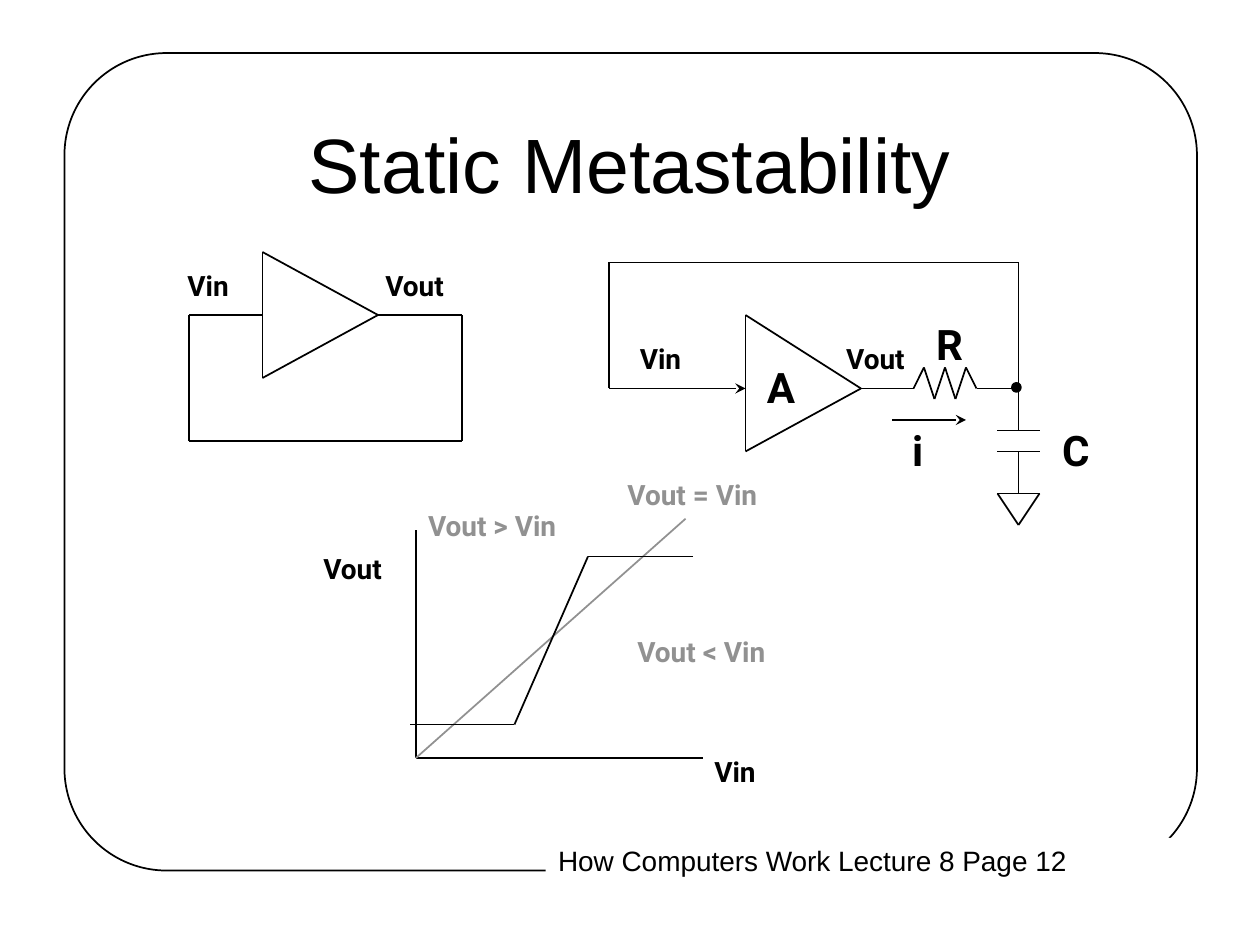
from lxml.etree import SubElement
from pptx import Presentation
from pptx.dml.color import RGBColor
from pptx.enum.shapes import MSO_CONNECTOR as CONN, MSO_SHAPE as SHAPE
from pptx.enum.text import MSO_ANCHOR as ANCHOR, MSO_AUTO_SIZE as FIT, PP_ALIGN as ALIGN
from pptx.oxml.ns import qn
from pptx.util import Cm, Pt

BLACK = RGBColor(0x00, 0x00, 0x00)
GRAY = RGBColor(0x91, 0x91, 0x91)
WHITE = RGBColor(0xFF, 0xFF, 0xFF)
GRID = 2.54 / 12  # drawing grid in cm

TITLE = {"name": "Arial", "size": Pt(44)}
FOOTER = {"name": "Arial", "size": Pt(16)}
SIGNAL = {"name": "Roboto", "size": Pt(16), "bold": True}
PART = {"name": "Roboto", "size": Pt(24), "bold": True}

prs = Presentation()
prs.slide_width, prs.slide_height = Cm(25.4), Cm(19.05)
s = prs.slides.add_slide(prs.slide_layouts[6])


def add_text(text, x, y, w, h, fmt, color=BLACK):
    sp = s.shapes.add_textbox(Cm(x), Cm(y), Cm(w), Cm(h))
    tf = sp.text_frame
    tf.word_wrap = False
    tf.auto_size = FIT.SHAPE_TO_FIT_TEXT
    p = tf.paragraphs[0]
    r = p.add_run()
    r.text = text
    for name, value in fmt.items():
        setattr(r.font, name, value)
    r.font.color.rgb = color
    return sp


def add_path(points, color=BLACK, arrow=False):
    for start, end in zip(points, points[1:]):
        ends = [Cm(v * GRID) for v in start + end]
        c = s.shapes.add_connector(CONN.STRAIGHT, *ends)
        c.line.color.rgb = color
        c.line.width = Pt(1)
        if arrow:
            SubElement(c.line._get_or_add_ln(), qn("a:tailEnd"), type="stealth")
        SubElement(c._element.spPr, qn("a:effectLst"))


# Page frame
sp = s.shapes.add_shape(SHAPE.ROUNDED_RECTANGLE, Cm(1.3), Cm(1.07), Cm(22.83), Cm(16.48))
sp.adjustments[0] = 0.125
sp.shadow.inherit = False
sp.fill.background()
sp.line.color.rgb = BLACK
sp.line.width = Pt(1)

# Footer covering the frame
sp = add_text("How Computers Work Lecture 8 Page 12", 11, 16.89, 12.73, 0.94, FOOTER)
sp.fill.solid()
sp.fill.fore_color.rgb = WHITE

# Title
sp = add_text("Static Metastability", 1.9, 1.7, 21.6, 3.18, TITLE)
tf = sp.text_frame
tf.auto_size = FIT.NONE
tf.word_wrap = True
tf.vertical_anchor = ANCHOR.MIDDLE
tf.paragraphs[0].alignment = ALIGN.CENTER

# Wires and outlines, in grid units
paths = [
    # Buffer and its feedback loop
    [(25, 24), (25, 36), (36, 30), (25, 24)],
    [(36, 30), (44, 30), (44, 42), (18, 42), (18, 30), (25, 30)],
    # Amplifier
    [(71, 30), (71, 43), (82, 37), (71, 30)],
    # Resistor
    [(82, 37), (87, 37), (88, 35), (89, 38), (90, 35), (91, 38), (92, 35),
     (93, 37), (97, 37), (97, 41)],
    # Capacitor and ground
    [(95, 41), (99, 41)],
    [(95, 43), (99, 43)],
    [(97, 43), (97, 47)],
    [(95, 47), (99, 47), (97, 50), (95, 47)],
    # Amplifier feedback
    [(97, 37), (97, 25), (58, 25), (58, 37)],
    # Plot axes
    [(39.6, 50.5), (39.6, 72.2), (67, 72.2)],
]
for points in paths:
    add_path(points)

# Input and current arrows
for points in ([(58, 37), (71, 37)], [(85, 40), (92, 40)]):
    add_path(points, arrow=True)

# Vout = Vin line, then the transfer curve
add_path([(39.6, 72.2), (65.3, 49.4)], GRAY)
add_path([(66, 53), (56, 53), (49, 69), (39, 69)])

# Junction dot
sp = s.shapes.add_shape(SHAPE.OVAL, Cm(20.4), Cm(7.72), Cm(0.18), Cm(0.18))
sp.shadow.inherit = False
sp.fill.solid()
sp.fill.fore_color.rgb = BLACK
sp.line.color.rgb = BLACK
sp.line.width = Pt(1)

# Component labels
for text, x, y, w in [
    ("A", 15.21, 7.16, 1.09),
    ("R", 18.62, 6.3, 1.07),
    ("C", 21.16, 8.43, 1.04),
    ("i", 18.14, 8.43, 0.76),
]:
    add_text(text, x, y, w, 1.27, PART)

# Signal and region labels
for text, x, y, w, color in [
    ("Vin", 3.53, 5.28, 1.42, BLACK),
    ("Vout", 7.52, 5.28, 1.85, BLACK),
    ("Vin", 12.65, 6.76, 1.42, BLACK),
    ("Vout", 16.81, 6.76, 1.85, BLACK),
    ("Vin", 14.15, 15.09, 1.42, BLACK),
    ("Vout", 6.27, 11, 1.85, BLACK),
    ("Vout = Vin", 12.4, 9.5, 3.35, GRAY),
    ("Vout < Vin", 12.6, 12.67, 3.35, GRAY),
    ("Vout > Vin", 8.38, 10.13, 3.35, GRAY),
]:
    add_text(text, x, y, w, 0.94, SIGNAL, color)

prs.save("out.pptx")
